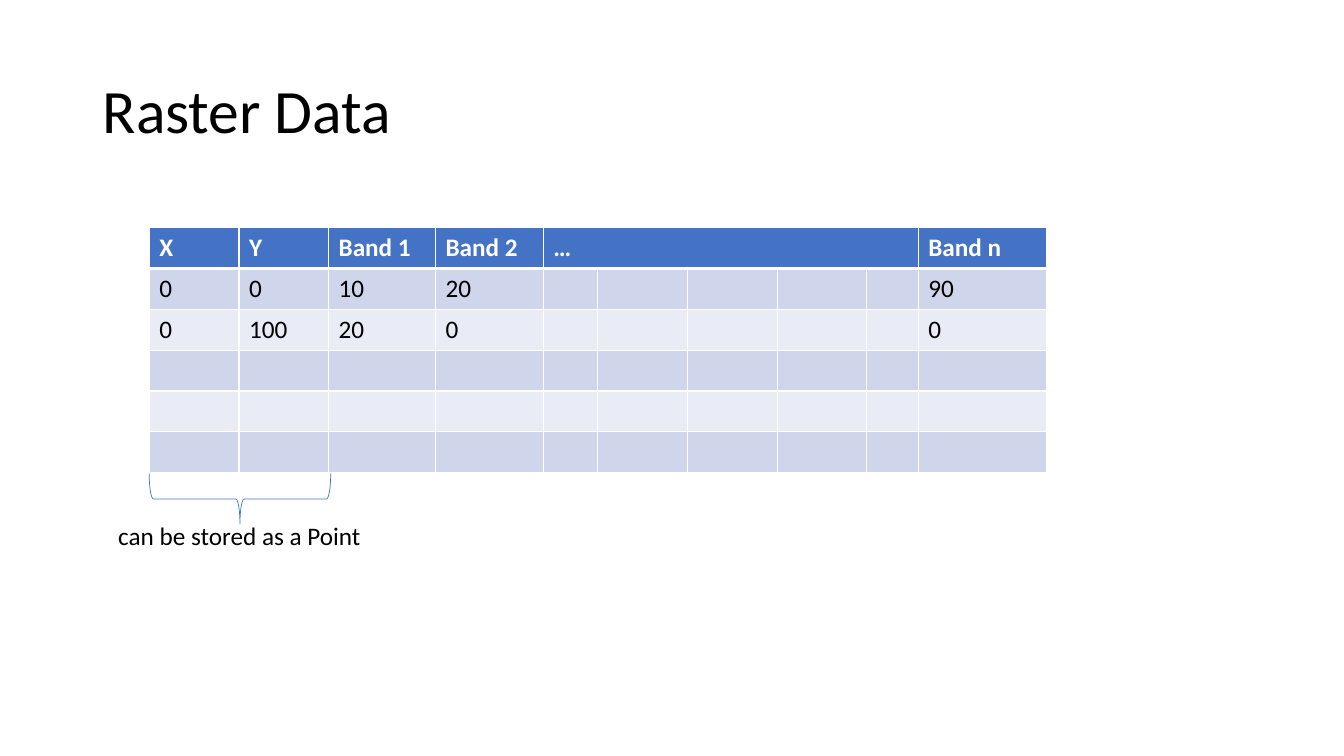
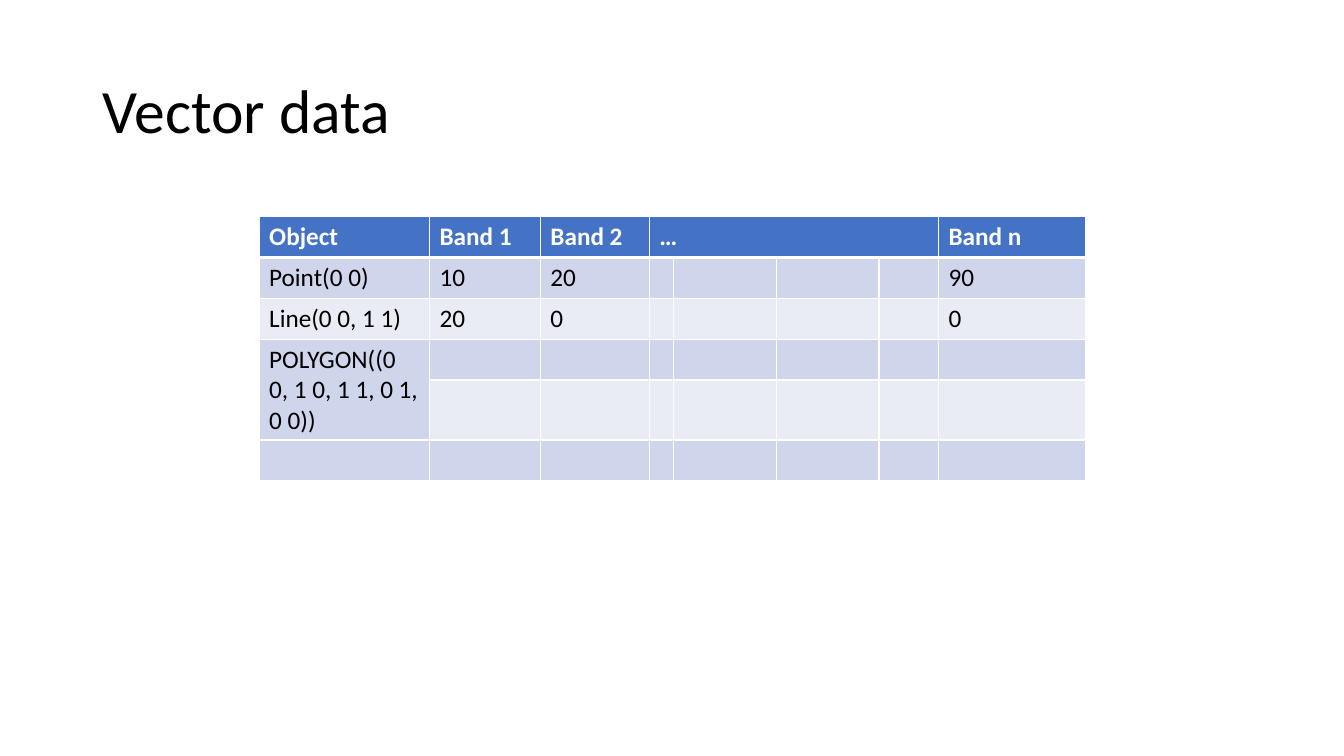
from lxml import etree
from pptx import Presentation
from pptx.dml.color import RGBColor
from pptx.enum.shapes import MSO_SHAPE
from pptx.enum.text import MSO_ANCHOR, PP_ALIGN
from pptx.oxml.ns import qn
from pptx.util import Pt

PX = 9144
BRACE = MSO_SHAPE.RIGHT_BRACE
MIDDLE, TOP = MSO_ANCHOR.MIDDLE, MSO_ANCHOR.TOP
LEFT, CENTER = PP_ALIGN.LEFT, PP_ALIGN.CENTER
FONT = "Calibri"
COLORS = {
    "text": "000000",
    "white": "FFFFFF",
    "accent": "4472C4",
    "band_dark": "CFD5EA",
    "band_light": "E9EBF5",
}
TITLE_BOX = (92, 40, 1150, 145)


def rgb(name):
    """Return the named palette colour."""
    return RGBColor.from_string(COLORS[name])


def emu(box):
    """Turn px lengths into EMU."""
    return [round(v * PX) for v in box]


def put_text(tf, text, size=18, color="text", bold=False, align=LEFT, line=None):
    """Write one formatted paragraph into a text frame."""
    p = tf.paragraphs[0]
    p.alignment = align
    p.line_spacing = line
    r = p.add_run()
    r.text = text
    r.font.name = FONT
    r.font.size = Pt(size)
    r.font.bold = bold
    r.font.color.rgb = rgb(color)


def add_text(s, box, text, anchor=TOP, wrap=True, **fmt):
    """Add a text box holding one formatted paragraph."""
    tf = s.shapes.add_textbox(*emu(box)).text_frame
    tf.word_wrap = wrap
    tf.vertical_anchor = anchor
    put_text(tf, text, **fmt)


def set_border(cell, side, width):
    """Draw one white border of a table cell."""
    ln = etree.SubElement(cell._tc.get_or_add_tcPr(), qn(f"a:ln{side}"), w=str(Pt(width)))
    fill = etree.SubElement(ln, qn("a:solidFill"))
    etree.SubElement(fill, qn("a:srgbClr"), val=COLORS["white"])


def style_cell(cell, row, text):
    """Give a cell its borders, band colour and text."""
    header = row == 0
    widths = {"L": 1, "R": 1, "T": 3 if row == 1 else 1, "B": 3 if header else 1}
    for side, width in widths.items():
        set_border(cell, side, width)
    cell.fill.solid()
    band = "band_dark" if row % 2 else "band_light"
    cell.fill.fore_color.rgb = rgb("accent" if header else band)
    if text:
        put_text(cell.text_frame, text, color="white" if header else "text", bold=header)


def add_data_table(s, box, cols, rows, merges):
    """Add a banded table; merges lists (first, last) cell positions."""
    table = s.shapes.add_table(len(rows), len(cols), *emu(box)).table
    for column, width in zip(table.columns, cols):
        column.width = width * PX
    for i, texts in enumerate(rows):
        for j, text in enumerate(texts):
            style_cell(table.cell(i, j), i, text)
    for first, last in merges:
        table.cell(*first).merge(table.cell(*last))


def add_brace_note(s, box, text):
    """Add a downward brace filling the box and a note centred below it."""
    x, y, w, h = box
    cx, cy = x + w / 2, y + h / 2
    brace = s.shapes.add_shape(BRACE, *emu((cx - h / 2, cy - w / 2, h, w)))
    brace.rotation = 90
    brace.shadow.inherit = False
    brace.fill.background()
    brace.line.color.rgb = rgb("accent")
    brace.line.width = Pt(0.5)
    add_text(s, (cx - 132, y + h - 9, 263, 40), text, wrap=False, align=CENTER)


def add_titled_slide(prs, title):
    """Add a blank slide with the shared title."""
    s = prs.slides.add_slide(prs.slide_layouts[6])
    add_text(s, TITLE_BOX, title, anchor=MIDDLE, size=44, line=0.9)
    return s


def raster_slide(prs):
    """Build the raster data slide."""
    s = add_titled_slide(prs, "Raster Data")
    x, y, w, h = box = (148, 226, 889, 243)
    gap = [""] * 5
    rows = [
        ["X", "Y", "Band 1", "Band 2", "…", *gap[1:], "Band n"],
        ["0", "0", "10", "20", *gap, "90"],
        ["0", "100", "20", "0", *gap, "0"],
        *[[""] * 10] * 3,
    ]
    cols = [89, 89, 106, 107, 54, 89, 89, 89, 51, 127]
    add_data_table(s, box, cols, rows, [((0, 4), (0, 8))])
    add_brace_note(s, (x, y + h + 1, 180, 50), "can be stored as a Point")


def vector_slide(prs):
    """Build the vector data slide."""
    s = add_titled_slide(prs, "Vector data")
    gap = [""] * 4
    rows = [
        ["Object", "Band 1", "Band 2", "…", *gap[1:], "Band n"],
        ["Point(0 0)", "10", "20", *gap, "90"],
        ["Line(0 0, 1 1)", "20", "0", *gap, "0"],
        ["POLYGON((0 0, 1 0, 1 1, 0 1, 0 0))", *[""] * 7],
        *[[""] * 8] * 2,
    ]
    cols = [169, 110, 108, 23, 102, 102, 59, 146]
    merges = [((0, 3), (0, 6)), ((3, 0), (4, 0))]
    add_data_table(s, (257, 215, 819, 243), cols, rows, merges)


def main():
    """Build and save the presentation."""
    prs = Presentation()
    prs.slide_width, prs.slide_height = emu((1333, 750))
    raster_slide(prs)
    vector_slide(prs)
    prs.save("out.pptx")


if __name__ == "__main__":
    main()
